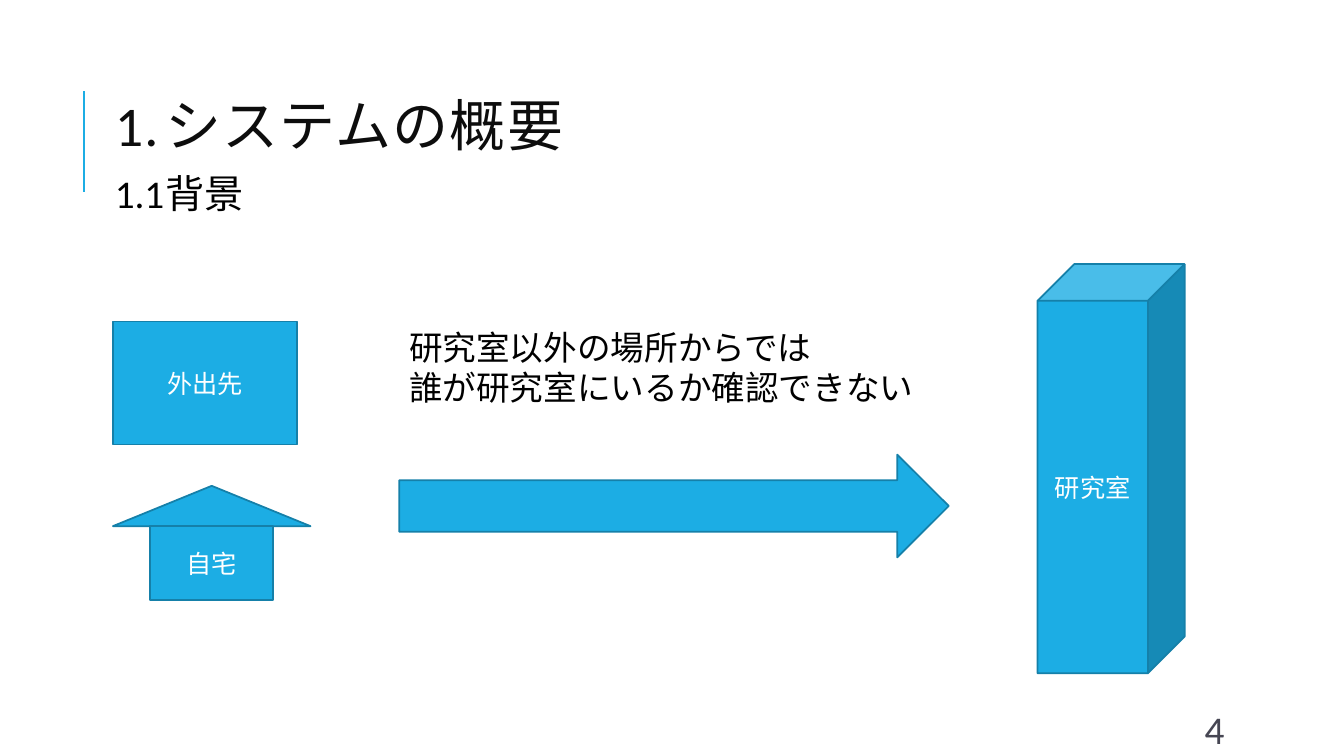
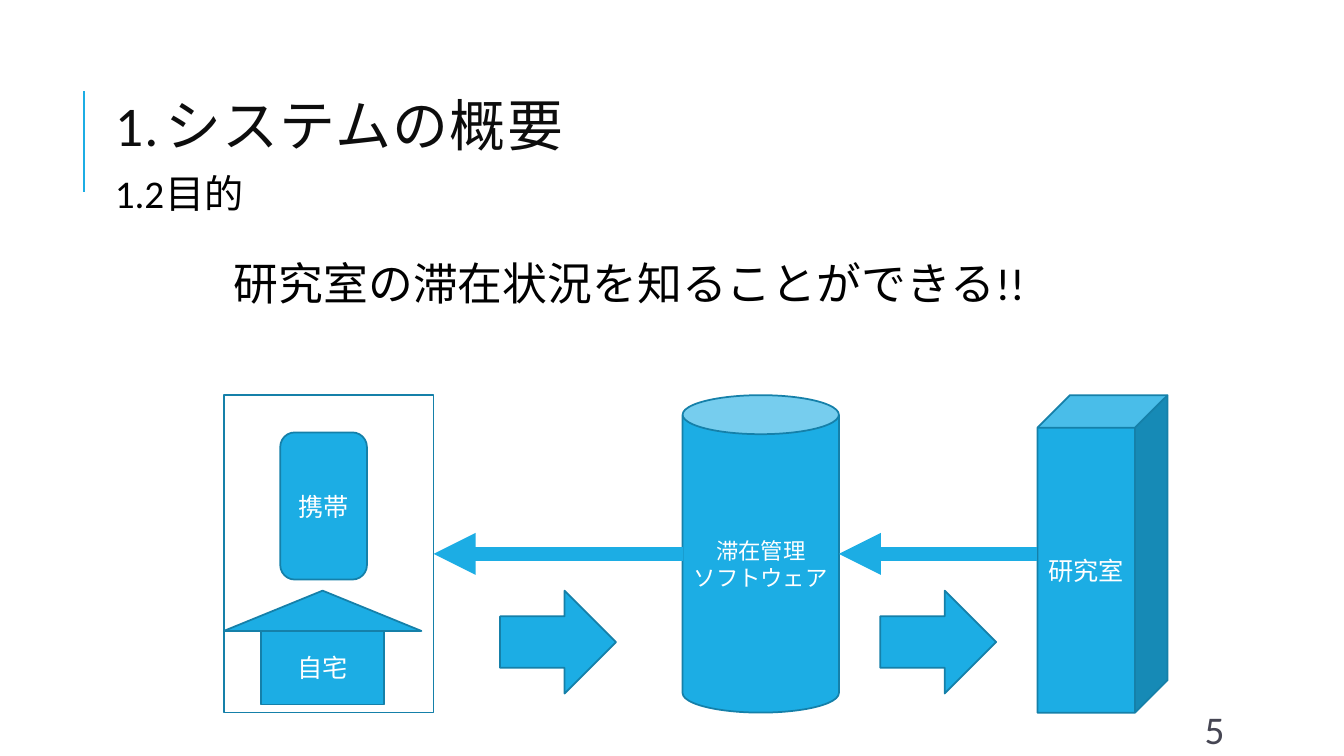
import dataclasses
import typing

import lxml.etree
import pptx
import pptx.dml.color
import pptx.enum.shapes
import pptx.enum.text
import pptx.oxml
import pptx.oxml.ns
import pptx.util

SHAPES = pptx.enum.shapes.MSO_SHAPE
ALIGN = pptx.enum.text.PP_ALIGN
ANCHOR = pptx.enum.text.MSO_ANCHOR
COLORS = {
    "accent": "1CADE4",
    "outline": "1580A9",
    "title": "0D0D0D",
    "body": "000000",
    "number": "464653",
    "label": "FFFFFF",
}
FONT = "Calibri"
SLIDE_WIDTH = pptx.util.Inches(13.33)
SLIDE_HEIGHT = pptx.util.Inches(7.5)
ROWS = 75
CELL = SLIDE_HEIGHT / ROWS


@dataclasses.dataclass(frozen=True)
class Area:
    column: float
    row: float
    columns: float
    rows: float

    def lengths(self) -> list[int]:
        return [cells(value) for value in dataclasses.astuple(self)]


@dataclasses.dataclass(frozen=True)
class TextStyle:
    size: float
    color: str
    anchor: ANCHOR = ANCHOR.TOP
    alignment: ALIGN = ALIGN.LEFT
    line_spacing: typing.Optional[float] = None
    letter_spacing: int = 0
    grows: bool = False


@dataclasses.dataclass(frozen=True)
class Block:
    kind: SHAPES
    area: Area
    lines: tuple[str, ...] = ()
    size: float = 18
    filled: bool = True


TITLE = TextStyle(40, "title", ANCHOR.MIDDLE, line_spacing=0.8, letter_spacing=100)
SUBTITLE = TextStyle(28, "body", grows=True)
NUMBER = TextStyle(28, "number", ANCHOR.MIDDLE)


def cells(count: float) -> int:
    return round(count * CELL)


def color(name: str) -> pptx.dml.color.RGBColor:
    return pptx.dml.color.RGBColor.from_string(COLORS[name])


def write(frame, lines: typing.Sequence[str], style: TextStyle) -> None:
    frame.word_wrap = True
    frame.vertical_anchor = style.anchor
    if style.grows:
        frame.auto_size = pptx.enum.text.MSO_AUTO_SIZE.SHAPE_TO_FIT_TEXT
    frame.text = "\n".join(lines)
    for paragraph in frame.paragraphs:
        paragraph.alignment = style.alignment
        paragraph.font.name = FONT
        paragraph.font.size = pptx.util.Pt(style.size)
        paragraph.font.color.rgb = color(style.color)
        if style.line_spacing:
            paragraph.line_spacing = style.line_spacing
        if style.letter_spacing:
            properties = paragraph._p.get_or_add_pPr().get_or_add_defRPr()
            properties.set("spc", str(style.letter_spacing))


def add_text(slide, area: Area, lines: typing.Sequence[str], style: TextStyle) -> None:
    write(slide.shapes.add_textbox(*area.lengths()).text_frame, lines, style)


def add_block(slide, block: Block):
    shape = slide.shapes.add_shape(block.kind, *block.area.lengths())
    shape.shadow.inherit = False
    if block.filled:
        shape.fill.solid()
        shape.fill.fore_color.rgb = color("accent")
    else:
        shape.fill.background()
    shape.line.color.rgb = color("outline")
    shape.line.width = pptx.util.Pt(1.25)
    if block.lines:
        style = TextStyle(block.size, "label", ANCHOR.MIDDLE, ALIGN.CENTER)
        write(shape.text_frame, block.lines, style)
    return shape


def add_house(slide, column: float, row: float) -> None:
    add_block(slide, Block(SHAPES.ISOSCELES_TRIANGLE, Area(column, row, 19.6, 4)))
    body = Area(column + 3.7, row + 4, 12.2, 7.3)
    add_block(slide, Block(SHAPES.RECTANGLE, body, ("自宅",)))


def add_line(slide, start: tuple[float, float], end: tuple[float, float],
             width: float, arrow: bool = False):
    points = [cells(value) for value in (*start, *end)]
    connector = slide.shapes.add_connector(
        pptx.enum.shapes.MSO_CONNECTOR.STRAIGHT, *points)
    connector.line.color.rgb = color("accent")
    connector.line.width = pptx.util.Pt(width)
    qualified = pptx.oxml.ns.qn
    if arrow:
        line = connector.line._get_or_add_ln()
        lxml.etree.SubElement(line, qualified("a:tailEnd"), type="triangle")
    lxml.etree.SubElement(connector._element.spPr, qualified("a:effectLst"))
    return connector


def add_section_slide(presentation, number: int, subtitle: str):
    slide = presentation.slides.add_slide(presentation.slide_layouts[6])
    add_line(slide, (8.3, 19), (8.3, 9), 1.5)
    add_text(slide, Area(118.5, 70.8, 10.6, 3), [str(number)], NUMBER)
    add_text(slide, Area(10.4, 16.3, 84, 5.7), [subtitle], SUBTITLE)
    add_text(slide, Area(10.4, 6.4, 84, 13), ["1.\tシステムの概要"], TITLE)
    return slide


def build_background(presentation) -> None:
    slide = add_section_slide(presentation, 4, "1.1\t背景")
    add_house(slide, 11.2, 48.2)
    for block in (
        Block(SHAPES.RECTANGLE, Area(11.2, 31.9, 18.3, 12.2), ("外出先",)),
        Block(SHAPES.RIGHT_ARROW, Area(39.6, 45.1, 54.5, 10.2)),
        Block(SHAPES.CUBE, Area(102.9, 26.2, 14.6, 40.6), ("研究室",)),
    ):
        add_block(slide, block)
    add_text(slide, Area(39.6, 31.9, 56.4, 9.1),
             ["研究室以外の場所からでは", "誰が研究室にいるか確認できない"],
             TextStyle(24, "body", grows=True))


def build_purpose(presentation) -> None:
    slide = add_section_slide(presentation, 5, "1.2\t目的")
    add_text(slide, Area(22.2, 24.9, 82.3, 6.4),
             ["研究室の滞在状況を知ることができる!!"],
             TextStyle(32, "body", grows=True))

    top, height = 39.2, 31.5
    middle = top + height / 2
    software = Area(67.7, top, 15.5, height)
    laboratory = Area(102.9, top, 12.9, height)
    home = add_block(slide, Block(
        SHAPES.RECTANGLE, Area(22.2, top, 20.8, height), filled=False))
    add_house(slide, 22.2, 58.6)
    for block in (
        Block(SHAPES.ROUNDED_RECTANGLE, Area(27.8, 42.9, 8.6, 14.6), ("携帯",)),
        Block(SHAPES.CAN, software, ("滞在管理", "ソフトウェア"), 16),
        Block(SHAPES.CUBE, laboratory, ("研究室",)),
    ):
        add_block(slide, block)
    for column in (49.6, 87.3):
        add_block(slide, Block(SHAPES.RIGHT_ARROW, Area(column, 58.6, 11.5, 10.2)))

    to_home = add_line(slide, (software.column, middle), (43, middle), 10, True)
    to_home.end_connect(home, 3)
    add_line(slide, (laboratory.column, middle),
             (software.column + software.columns, middle), 10, True)


def main() -> None:
    presentation = pptx.Presentation()
    presentation.slide_width = SLIDE_WIDTH
    presentation.slide_height = SLIDE_HEIGHT
    build_background(presentation)
    build_purpose(presentation)
    presentation.save("out.pptx")


if __name__ == "__main__":
    main()
